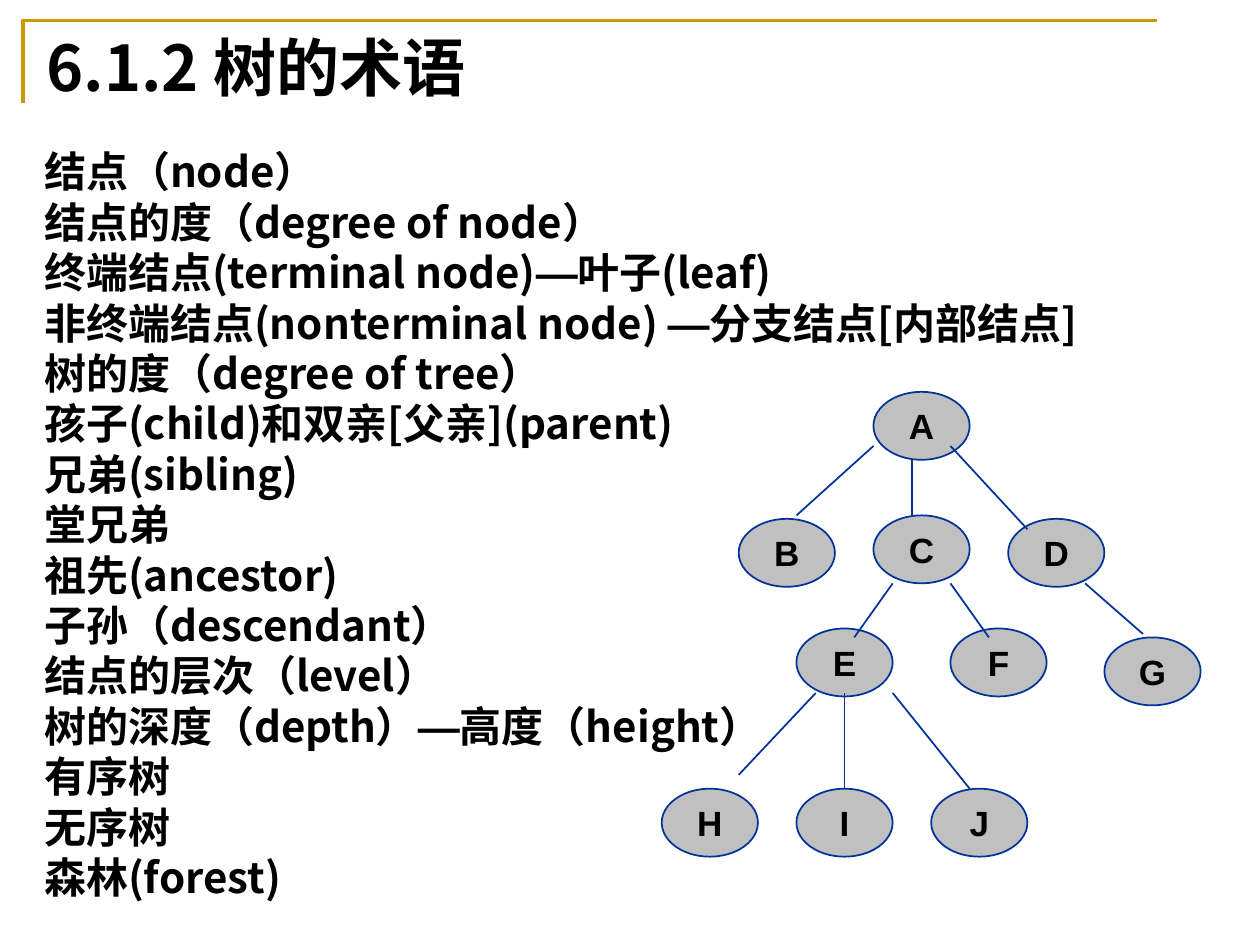
from pptx import Presentation
from pptx import util as u
from pptx.dml.color import RGBColor
from pptx.enum import shapes, text
from pptx.oxml.ns import qn
from lxml import etree

Cm, Pt = u.Cm, u.Pt
BLACK = RGBColor(0x00, 0x00, 0x00)
GOLD = RGBColor(0xCC, 0x99, 0x00)
GRAY = RGBColor(0xC0, 0xC0, 0xC0)
BLUE = RGBColor(0x00, 0x33, 0x9A)

TITLE_FONT = "Noto Sans CJK JP"
BODY_FONT = "Noto Sans CJK SC"
LATIN_FONT = "Arial"

NODE_W, NODE_H = 1.94, 1.37
COL = NODE_W / 5
TREE_LEFT = 13.34

TERMS = [
    "结点（node）",
    "结点的度（degree of node）",
    "终端结点(terminal node)—叶子(leaf)",
    "非终端结点(nonterminal node) —分支结点[内部结点]",
    "树的度（degree of tree）",
    "孩子(child)和双亲[父亲](parent)",
    "兄弟(sibling)",
    "堂兄弟",
    "祖先(ancestor)",
    "子孙（descendant）",
    "结点的层次（level）",
    "树的深度（depth）—高度（height）",
    "有序树",
    "无序树",
    "森林(forest)",
]

# label, column, top
NODES = [
    ("A", 11, 7.9),
    ("B", 4, 10.46), ("C", 11, 10.39), ("D", 18, 10.46),
    ("E", 7, 12.67), ("F", 15, 12.67), ("G", 23, 12.85),
    ("H", 0, 15.9), ("I", 7, 15.9), ("J", 14, 15.9),
]

# start column, start y, end column, end y
EDGES = [
    (11, 8.99, 7, 10.39), (13, 9.27, 13, 10.39), (15, 8.99, 19, 10.67),
    (12, 11.76, 10, 12.85), (15, 11.76, 17, 12.85), (22, 11.76, 25, 12.78),
    (8, 13.97, 4, 15.62), (9.5, 13.97, 9.5, 15.9), (12, 13.97, 16, 15.9),
]


def tree_x(col):
    return Cm(TREE_LEFT + col * COL)


def add_run(p, content, font=BODY_FONT, size=24, color=BLACK, bold=True):
    r = p.add_run()
    r.text = content
    r.font.name = font
    r.font.size = Pt(size)
    r.font.bold = bold
    r.font.color.rgb = color
    ea = etree.SubElement(r._r.get_or_add_rPr(), qn("a:ea"))
    ea.set("typeface", font)


def add_box(s, left, top, width, height):
    tf = s.shapes.add_textbox(Cm(left), Cm(top), Cm(width), Cm(height)).text_frame
    tf.word_wrap = True
    return tf


def add_corner_rule(s):
    left, top = Cm(0.46), Cm(0.41)
    fb = s.shapes.build_freeform(left, Cm(2.08))
    fb.add_line_segments([(left, top), (Cm(23.32), top)], close=False)
    sp = fb.convert_to_shape()
    sp.shadow.inherit = False
    sp.fill.background()
    sp.line.color.rgb = GOLD
    sp.line.width = Pt(2)


def add_title(s):
    tf = add_box(s, 0.69, 0.53, 22.02, 1.63)
    tf.vertical_anchor = text.MSO_ANCHOR.MIDDLE
    add_run(tf.paragraphs[0], "6.1.2 树的术语", font=TITLE_FONT, size=36)


def add_terms(s):
    tf = add_box(s, 0.64, 2.74, 23.29, 15.65)
    tf.margin_top = Cm(0.2)
    for i, term in enumerate(TERMS):
        p = tf.add_paragraph() if i else tf.paragraphs[0]
        p.line_spacing = Pt(28.8)
        before, dash, after = term.partition("—")
        add_run(p, before)
        if dash:
            add_run(p, dash, font=LATIN_FONT)
            add_run(p, after)


def add_node(s, label, col, top):
    sp = s.shapes.add_shape(shapes.MSO_SHAPE.OVAL, tree_x(col), Cm(top),
                            Cm(NODE_W), Cm(NODE_H))
    sp.shadow.inherit = False
    sp.fill.solid()
    sp.fill.fore_color.rgb = GRAY
    sp.line.color.rgb = BLUE
    sp.line.width = Pt(1)
    tf = sp.text_frame
    tf.word_wrap = False
    tf.vertical_anchor = text.MSO_ANCHOR.MIDDLE
    p = tf.paragraphs[0]
    p.alignment = text.PP_ALIGN.CENTER
    add_run(p, label, font=LATIN_FONT, size=20)


def add_edge(s, col1, y1, col2, y2):
    c = s.shapes.add_connector(shapes.MSO_CONNECTOR.STRAIGHT,
                               tree_x(col1), Cm(y1), tree_x(col2), Cm(y2))
    c.line.color.rgb = BLUE
    c.line.width = Pt(1)
    etree.SubElement(c._element.spPr, qn("a:effectLst"))


def main():
    prs = Presentation()
    prs.slide_width, prs.slide_height = Cm(25.4), Cm(19.05)
    s = prs.slides.add_slide(prs.slide_layouts[6])
    add_corner_rule(s)
    add_title(s)
    add_terms(s)
    for node in NODES:
        add_node(s, *node)
    for edge in EDGES:
        add_edge(s, *edge)
    prs.save("out.pptx")


if __name__ == "__main__":
    main()
